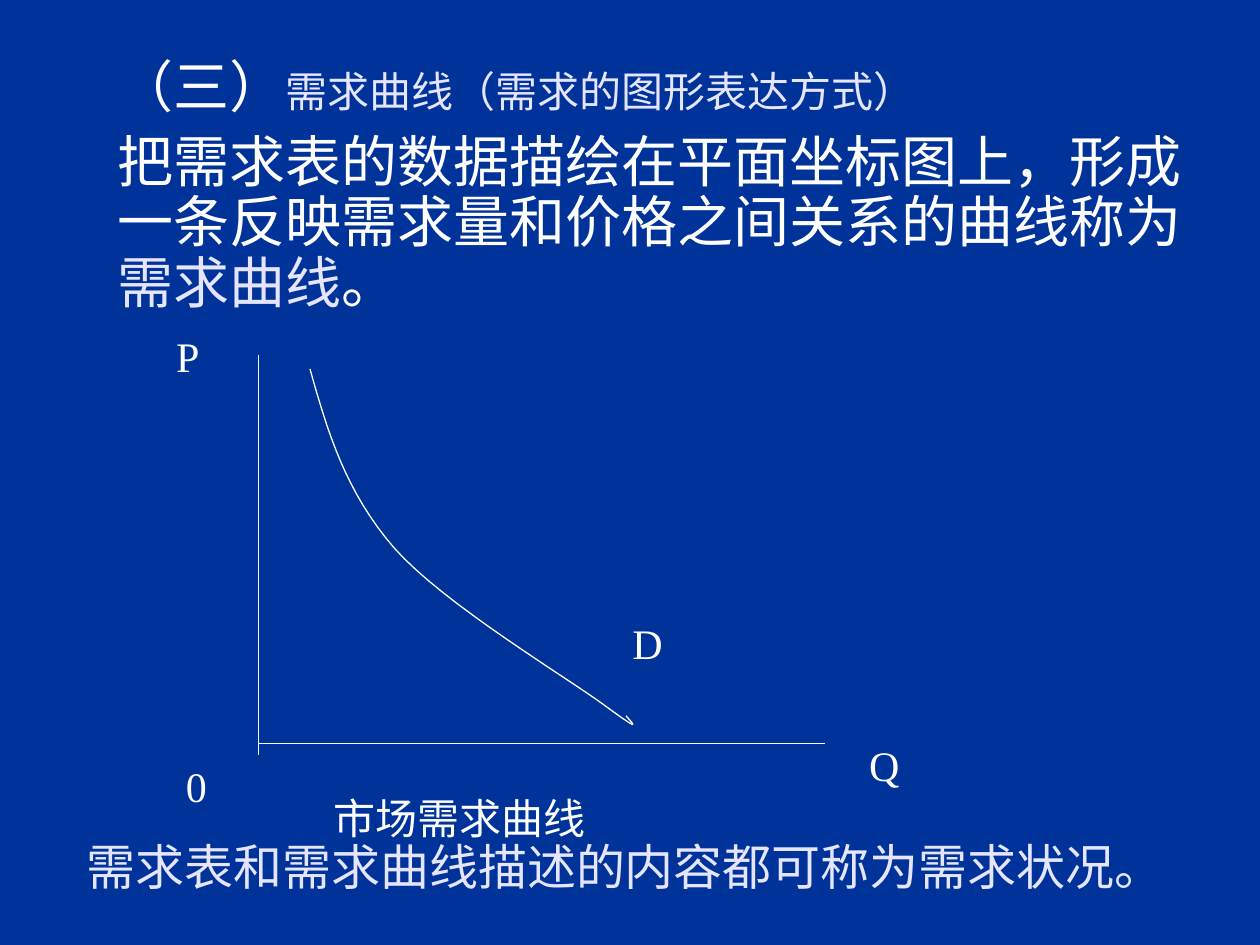
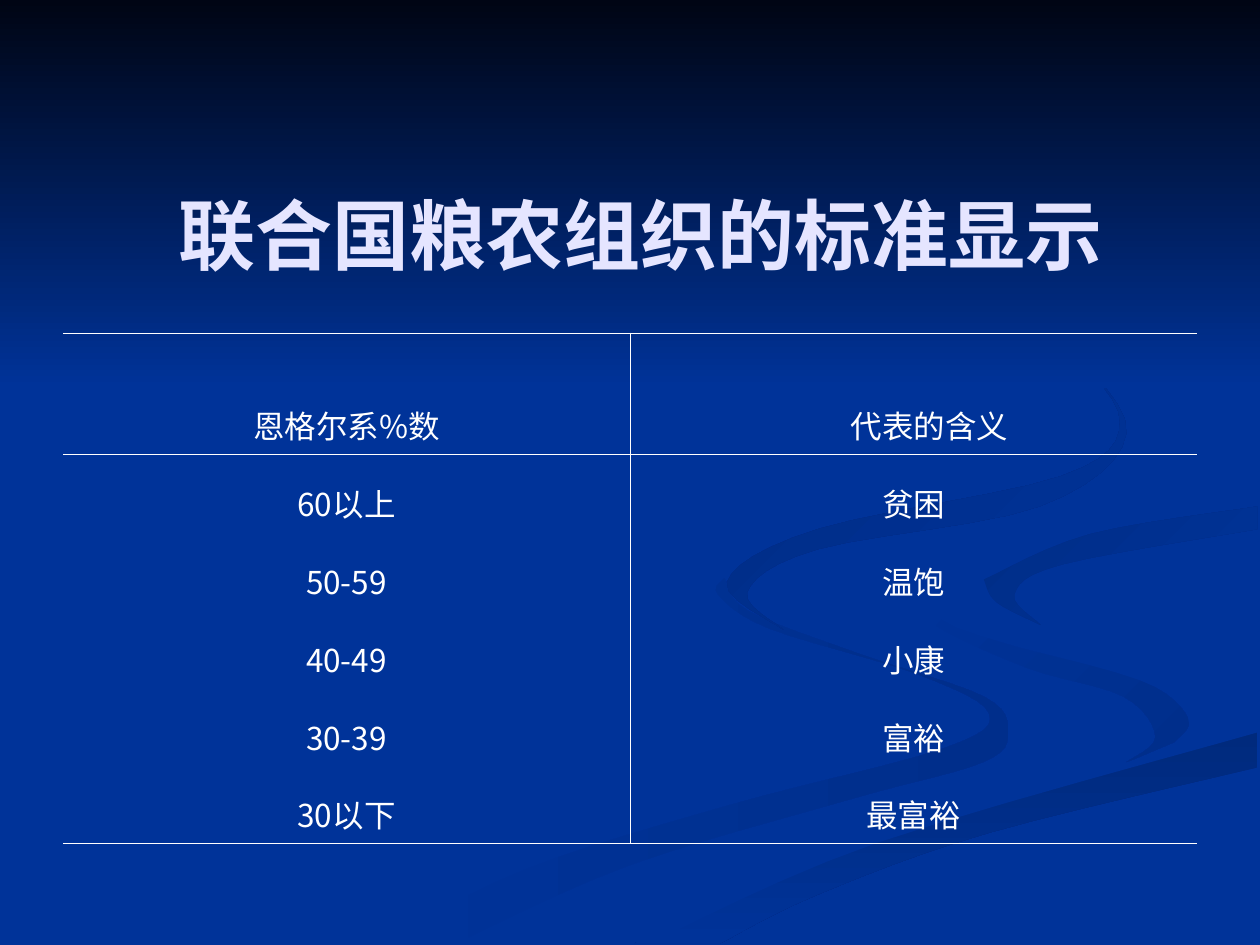
from dataclasses import dataclass

from pptx import Presentation
from pptx.dml.color import RGBColor
from pptx.enum.shapes import MSO_CONNECTOR
from pptx.enum.text import MSO_ANCHOR, MSO_AUTO_SIZE, PP_ALIGN
from pptx.oxml.xmlchemy import OxmlElement
from pptx.util import Cm, Pt

STRAIGHT = MSO_CONNECTOR.STRAIGHT
CENTER = PP_ALIGN.CENTER
MIDDLE, BOTTOM = MSO_ANCHOR.MIDDLE, MSO_ANCHOR.BOTTOM
GROW = MSO_AUTO_SIZE.SHAPE_TO_FIT_TEXT
TITLE_ONLY, BLANK = 5, 6


@dataclass(frozen=True)
class Theme:
    ground: str = "003399"
    night: str = "000514"
    text: str = "FFFFFF"
    accent: str = "E5E5FF"
    serif: str = "Times New Roman"
    sans: str = "Arial"
    table_font: str = "Noto Sans CJK SC"
    title_size: int = 44
    body_size: int = 32
    remark_size: int = 28
    label_size: int = 24
    table_size: int = 18
    line: float = 0.75
    rule: float = 0.45


THEME = Theme()
HUNDREDTH_INCH = 0.0254  # in cm, the grid of the ribbon edges

# Each ribbon: start colour, end colour, clockwise angle, smooth edges in turn.
RIBBONS = [
    (THEME.ground, "002E8B", 0, [
        [(575, 459), (570, 472), (611, 499), (728, 535), (785, 566), (749, 594),
         (579, 639), (417, 690), (300, 749)],
        [(361, 749), (499, 687), (676, 634), (780, 605), (800, 581), (781, 553),
         (682, 519), (594, 485), (575, 459)]]),
    (THEME.ground, "002E8B", 45, [
        [(724, 464), (739, 494), (815, 530), (892, 553), (917, 585), (894, 605)],
        [(932, 589), (943, 570), (905, 540), (792, 509), (733, 483), (724, 464)]]),
    ("002A7D", THEME.ground, 90, [
        [(503, 749), (630, 693), (764, 647), (998, 581)],
        [(998, 609), (785, 661), (649, 710), (571, 749)]]),
    (THEME.ground, THEME.ground, 0, [
        [(725, 464), (759, 498), (905, 540), (943, 570), (911, 600), (704, 655),
         (477, 749)],
        [(519, 747), (696, 669), (999, 581)],
        [(999, 538), (848, 503), (781, 463), (865, 424), (999, 402)],
        [(999, 387), (808, 417), (725, 464)]]),
    ("002D86", THEME.ground, 45, [
        [(781, 460), (791, 478), (826, 496)],
        [(826, 496), (805, 472), (843, 448), (998, 420)],
        [(998, 402), (865, 424), (781, 460)]]),
    ("002B82", THEME.ground, 45, [
        [(762, 233), (846, 279), (889, 335), (842, 378), (649, 420), (577, 462),
         (622, 500)],
        [(622, 500), (593, 470), (649, 436), (825, 402), (894, 344), (843, 275),
         (762, 233)]]),
    (THEME.night, THEME.ground, 90, [
        [(0, 0), (1000, 0)], [(1000, 308), (0, 308)]]),
]

# Bézier segments of the demand curve in cm; each starts where the last ended.
CURVE_START = (6.25, 7.44)
CURVE_SEGMENTS = [
    ((6.6, 8.69), (6.96, 9.91), (7.95, 11.05)),
    ((8.94, 12.17), (11.4, 13.64), (12.19, 14.22)),
    ((12.95, 14.78), (12.78, 14.61), (12.62, 14.43)),
]

ENGEL_ROWS = [
    ("恩格尔系%数", "　代表的含义"),
    ("60以上", "贫困"),
    ("50-59", "温饱"),
    ("40-49", "小康"),
    ("30-39", "富裕"),
    ("30以下", "最富裕"),
]


def rgb(value):
    return RGBColor.from_string(value)


def style(font, size=None, name=None, color=None, bold=None):
    if size:
        font.size = Pt(size)
    if name:
        font.name = name
    if color:
        font.color.rgb = rgb(color)
    if bold is not None:
        font.bold = bold


def sample_curve(start, segments, steps=16):
    points = [start]
    for first, second, end in segments:
        corners = (points[-1], first, second, end)
        for step in range(1, steps + 1):
            t = step / steps
            weights = ((1 - t) ** 3, 3 * t * (1 - t) ** 2, 3 * t ** 2 * (1 - t), t ** 3)
            points.append(tuple(
                sum(weight * corner[axis] for weight, corner in zip(weights, corners))
                for axis in (0, 1)))
    return points


def smooth_edge(knots):
    """Return points of a Catmull-Rom curve through the knots."""
    padded = [knots[0], *knots, knots[-1]]
    segments = []
    for before, start, end, after in zip(padded, padded[1:], padded[2:], padded[3:]):
        first = tuple(s + (e - b) / 6 for b, s, e in zip(before, start, end))
        second = tuple(e - (a - s) / 6 for s, e, a in zip(start, end, after))
        segments.append((first, second, end))
    return sample_curve(knots[0], segments, steps=6)


class Painter:
    """Holds the theme and the page being drawn; lengths are in cm."""

    def __init__(self, deck, theme):
        self.deck = deck
        self.theme = theme
        self.page = None
        ground = deck.slide_master.background.fill
        ground.solid()
        ground.fore_color.rgb = rgb(theme.ground)

    def new_page(self, layout):
        self.page = self.deck.slides.add_slide(self.deck.slide_layouts[layout])

    def title(self, text, left, top, width, height):
        title = self.page.shapes.title
        title.element.getparent().append(title.element)  # in front of the backdrop
        title.left, title.top = Cm(left), Cm(top)
        title.width, title.height = Cm(width), Cm(height)
        title.text_frame.vertical_anchor = MIDDLE
        para = title.text_frame.paragraphs[0]
        para.text = text
        para.alignment = CENTER
        style(para.font, self.theme.title_size, self.theme.serif, self.theme.accent, True)

    def text_box(self, left, top, width, height, wrap=True):
        box = self.page.shapes.add_textbox(Cm(left), Cm(top), Cm(width), Cm(height))
        box.text_frame.word_wrap = wrap
        box.text_frame.auto_size = GROW
        return box.text_frame

    def label(self, text, left, top, width, height=1.27, size=None, color=None, wrap=True):
        para = self.text_box(left, top, width, height, wrap).paragraphs[0]
        para.text = text
        style(para.font, size or self.theme.label_size, self.theme.serif,
              color or self.theme.text)

    def spans(self, para, *parts):
        """Add runs, each given as its text and its font settings."""
        for text, settings in parts:
            span = para.add_run()
            span.text = text
            style(span.font, **settings)

    def line(self, x1, y1, x2, y2):
        line = self.page.shapes.add_connector(STRAIGHT, Cm(x1), Cm(y1), Cm(x2), Cm(y2))
        line.line.color.rgb = rgb(self.theme.text)
        line.line.width = Pt(self.theme.line)
        line.element.spPr.append(OxmlElement("a:effectLst"))

    def outline(self, points, unit=1.0, close=False):
        vertices = [(Cm(x * unit), Cm(y * unit)) for x, y in points]
        builder = self.page.shapes.build_freeform(*vertices[0])
        builder.add_line_segments(vertices[1:], close=close)
        shape = builder.convert_to_shape()
        shape.shadow.inherit = False
        return shape

    def curve(self, points):
        shape = self.outline(points)
        shape.fill.background()
        shape.line.color.rgb = rgb(self.theme.text)
        shape.line.width = Pt(self.theme.line)

    def ribbon(self, start, end, angle, edges):
        points = [point for edge in edges for point in smooth_edge(edge)]
        shape = self.outline(points, HUNDREDTH_INCH, close=True)
        shape.line.fill.background()
        if start == end:
            shape.fill.solid()
            shape.fill.fore_color.rgb = rgb(start)
            return
        shape.fill.gradient()
        shape.fill.gradient_angle = (360 - angle) % 360
        for stop, color in zip(shape.fill.gradient_stops, (start, end)):
            stop.color.rgb = rgb(color)

    def cell_borders(self, cell, visible):
        properties = cell._tc.get_or_add_tcPr()
        for side in "LRTB":
            border = OxmlElement(f"a:ln{side}")
            border.set("w", str(Pt(self.theme.rule)))
            properties.append(border)
            if side not in visible:
                border.append(OxmlElement("a:noFill"))
                continue
            fill = OxmlElement("a:solidFill")
            color = OxmlElement("a:srgbClr")
            color.set("val", self.theme.text)
            fill.append(color)
            border.append(fill)

    def table(self, rows, left, top, width, header_height, row_height):
        height = header_height + row_height * (len(rows) - 1)
        table = self.page.shapes.add_table(
            len(rows), len(rows[0]), Cm(left), Cm(top), Cm(width), Cm(height)).table
        table.first_row = table.horz_banding = False
        for row_index, texts in enumerate(rows):
            table.rows[row_index].height = Cm(row_height if row_index else header_height)
            horizontal = {0: "TB", 1: "T", len(rows) - 1: "B"}.get(row_index, "")
            for column, text in enumerate(texts):
                cell = table.cell(row_index, column)
                self.cell_borders(cell, horizontal + ("L" if column else "R"))
                cell.fill.background()
                cell.vertical_anchor = BOTTOM
                para = cell.text_frame.paragraphs[0]
                para.text = text
                para.alignment = CENTER
                style(para.font, self.theme.table_size, self.theme.table_font,
                      self.theme.text)


def draw_demand_curve(painter):
    theme = painter.theme
    white, pale = {"color": theme.text}, {"color": theme.accent}
    painter.new_page(BLANK)

    frame = painter.text_box(2.11, 1.07, 22.03, 5.44)
    heading, definition = frame.paragraphs[0], frame.add_paragraph()
    heading.line_spacing = definition.line_spacing = 0.9
    definition.space_before = Pt(8)
    painter.spans(
        heading,
        ("（三）", {"size": theme.body_size, "name": theme.sans, **white}),
        ("需求曲线（需求的图形表达方式）",
         {"size": theme.label_size, "name": theme.serif, **pale}))
    style(definition.font, theme.body_size, theme.sans)
    painter.spans(
        definition,
        ("把需求表的数据描绘在平面坐标图上，形成一条反映需求量和价格之间关系的曲线称为", white),
        ("需求曲线", pale),
        ("。", white))

    painter.curve(sample_curve(CURVE_START, CURVE_SEGMENTS))
    painter.line(5.21, 7.16, 5.21, 15.21)
    painter.line(5.21, 14.99, 16.64, 14.99)
    painter.label("P", 3.3, 6.53, 1.27)
    painter.label("Q", 17.27, 14.78, 2.97)
    painter.label("市场需求曲线", 6.48, 15.85, 8.26)
    painter.label("0", 3.5, 15.21, 1.27)
    painter.label("需求表和需求曲线描述的内容都可称为需求状况。", 1.5, 16.74, 22.91, 1.45,
                  theme.remark_size, theme.accent)
    painter.label("D", 12.5, 12.32, 1.12, wrap=False)


def draw_engel_standard(painter):
    painter.new_page(TITLE_ONLY)
    for ribbon in RIBBONS:
        painter.ribbon(*ribbon)
    painter.title("联合国粮农组织的标准显示", 1.5, 3.12, 22.86, 3.18)
    painter.table(ENGEL_ROWS, 1.27, 6.71, 22.86, 2.44, 1.57)


def main():
    deck = Presentation()
    deck.slide_width, deck.slide_height = Cm(25.4), Cm(19.05)
    painter = Painter(deck, THEME)
    draw_demand_curve(painter)
    draw_engel_standard(painter)
    deck.save("out.pptx")


if __name__ == "__main__":
    main()
